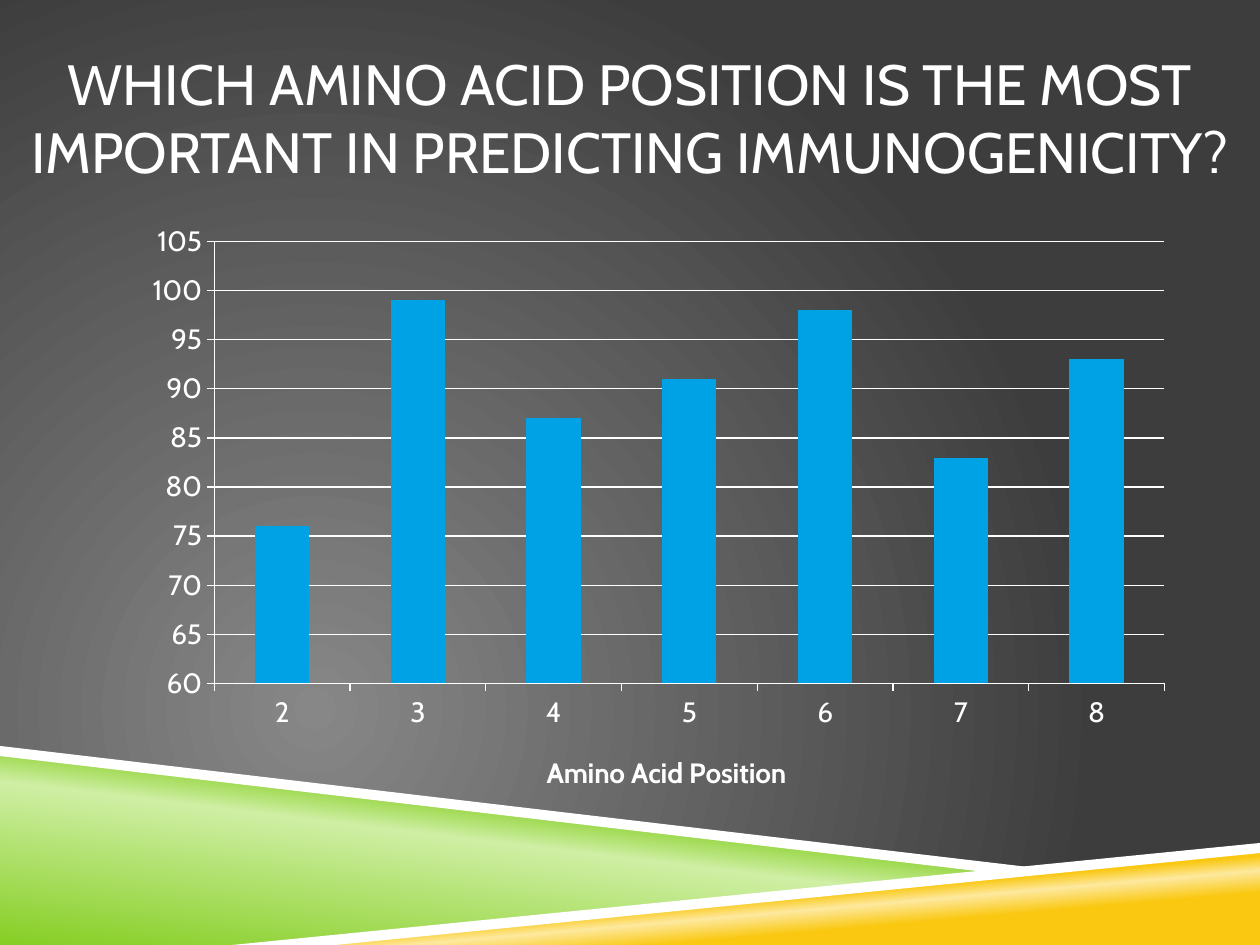
from pptx import Presentation
from pptx.chart.data import CategoryChartData
from pptx.dml.color import RGBColor
from pptx.enum.chart import XL_CHART_TYPE as ChartType, XL_TICK_MARK as TickMark
from pptx.enum.text import MSO_ANCHOR as Anchor, PP_ALIGN as Align
from pptx.oxml import parse_xml
from pptx.oxml.ns import nsdecls, qn
from pptx.util import Inches, Pt

# Content
TITLE = "WHICH AMINO ACID POSITION IS THE MOST IMPORTANT IN PREDICTING IMMUNOGENICITY?"
AXIS_TITLE = "Amino Acid Position"
SCORES = {"2": 76, "3": 99, "4": 87, "5": 91, "6": 98, "7": 83, "8": 93}

FONT = "Cabin"
WHITE = RGBColor(0xFF, 0xFF, 0xFF)
BLUE = RGBColor(0x00, 0xA2, 0xE6)
GREEN = RGBColor(0x86, 0xCE, 0x24)
PALE_GREEN = RGBColor(0xCF, 0xEF, 0xA4)
YELLOW = RGBColor(0xFA, 0xC8, 0x10)
PALE_YELLOW = RGBColor(0xFD, 0xE9, 0x9F)
GREY = RGBColor(0x87, 0x87, 0x87)
DARK_GREY = RGBColor(0x3D, 0x3D, 0x3D)

WIDTH, HEIGHT = 10, 7.5
LINEAR = '<a:lin ang="{}" scaled="0"/>'
GLOW = '<a:path path="circle"><a:fillToRect l="50000" t="100000" r="100000" b="50000"/></a:path>'

# Bands at the foot: corner points in inches, then a colour or (stops, direction)
BANDS = [
    ([(0, 5.97), (7.92, 6.92), (2, HEIGHT), (0, HEIGHT)],
     ([(0, GREEN), (52, PALE_GREEN), (66, GREEN)], LINEAR.format(277 * 60000))),
    ([(1.98, HEIGHT), (WIDTH, 6.72), (WIDTH, HEIGHT)],
     ([(28, YELLOW), (40, PALE_YELLOW), (48, YELLOW)], LINEAR.format(265 * 60000))),
    ([(0, 5.92), (0, 6), (7.9, 6.93), (8.32, 6.9)], WHITE),
    ([(WIDTH, 6.69), (1.84, HEIGHT), (2.66, HEIGHT), (WIDTH, 6.77)], WHITE),
]


def set_gradient(fill, parent, stops, direction):
    """Replace the solid fill held by parent with a gradient."""
    fill.solid()
    stop_xml = "".join(
        f'<a:gs pos="{position * 1000}"><a:srgbClr val="{color}"/></a:gs>'
        for position, color in stops)
    gradient = parse_xml(f'<a:gradFill {nsdecls("a")} rotWithShape="1">'
                         f'<a:gsLst>{stop_xml}</a:gsLst>{direction}</a:gradFill>')
    parent.replace(parent.find(qn("a:solidFill")), gradient)


def add_band(slide, points, paint):
    start, *others = [(round(x * 100), round(y * 100)) for x, y in points]
    builder = slide.shapes.build_freeform(*start, scale=Inches(0.01))
    builder.add_line_segments(others, close=True)
    shape = builder.convert_to_shape()
    shape.shadow.inherit = False
    shape.line.fill.background()
    if isinstance(paint, RGBColor):
        shape.fill.solid()
        shape.fill.fore_color.rgb = paint
    else:
        set_gradient(shape.fill, shape.element.spPr, *paint)


def layout_xml(target="", **shares):
    """Manual chart layout in shares of the chart's size."""
    modes = "".join(f'<c:{axis}Mode val="edge"/>' for axis in "xy")
    values = "".join(f'<c:{name} val="{share}"/>' for name, share in shares.items())
    return parse_xml(f'<c:layout {nsdecls("c")}><c:manualLayout>{target}{modes}{values}'
                     '</c:manualLayout></c:layout>')


def style_font(font, size, bold=False):
    font.name, font.size, font.bold = FONT, Pt(size), bold
    font.color.rgb = WHITE


def style_line(line):
    line.color.rgb = WHITE
    line.width = Pt(0.75)


def add_title(slide):
    box = slide.shapes.add_textbox(0, Inches(0.3), Inches(WIDTH), Inches(1.25))
    frame = box.text_frame
    frame.word_wrap = True
    frame.vertical_anchor = Anchor.MIDDLE
    frame.margin_left = frame.margin_right = 0
    paragraph = frame.paragraphs[0]
    paragraph.alignment = Align.CENTER
    run = paragraph.add_run()
    run.text = TITLE
    style_font(run.font, 32.4)


def add_score_chart(slide):
    data = CategoryChartData()
    data.categories = list(SCORES)
    data.add_series("Series 1", list(SCORES.values()))
    chart = slide.shapes.add_chart(
        ChartType.COLUMN_CLUSTERED, Inches(1.03), Inches(1.68),
        Inches(8.38), Inches(4.74), data).chart
    chart.has_legend = chart.has_title = False
    style_font(chart.font, 16)

    # Columns
    plot = chart.plots[0]
    plot.vary_by_categories = False
    plot.gap_width = 150
    fill = plot.series[0].format.fill
    fill.solid()
    fill.fore_color.rgb = BLUE

    # Axes
    for axis in (chart.category_axis, chart.value_axis):
        axis.major_tick_mark = TickMark.OUTSIDE
        axis.minor_tick_mark = TickMark.NONE
        style_line(axis.format.line)
        style_font(axis.tick_labels.font, 16)
    values = chart.value_axis
    values.minimum_scale, values.maximum_scale, values.major_unit = 60, 105, 5
    values.has_major_gridlines = True
    style_line(values.major_gridlines.format.line)

    # Axis title
    axis_title = chart.category_axis.axis_title
    run = axis_title.text_frame.paragraphs[0].add_run()
    run.text = AXIS_TITLE
    style_font(run.font, 16, bold=True)
    title_element = chart.category_axis._element.find(qn("c:title"))
    for old in title_element.findall(qn("c:layout")):
        title_element.remove(old)
    title_element.find(qn("c:tx")).addnext(layout_xml(x=0.39, y=0.9))

    # Plot area
    area = chart._chartSpace.chart.plotArea
    for old in area.findall(qn("c:layout")):
        area.remove(old)
    area.insert(0, layout_xml('<c:layoutTarget val="inner"/>', x=0.08, y=0.05, w=0.9, h=0.74))


def main():
    presentation = Presentation()
    presentation.slide_width, presentation.slide_height = Inches(WIDTH), Inches(HEIGHT)
    slide = presentation.slides.add_slide(presentation.slide_layouts[6])

    # Background glow
    background = slide.background.fill
    background.solid()
    set_gradient(background, slide.element.find(".//" + qn("p:bgPr")),
                 [(0, GREY), (100, DARK_GREY)], GLOW)

    for points, paint in BANDS:
        add_band(slide, points, paint)
    add_title(slide)
    add_score_chart(slide)
    presentation.save("out.pptx")


if __name__ == "__main__":
    main()
